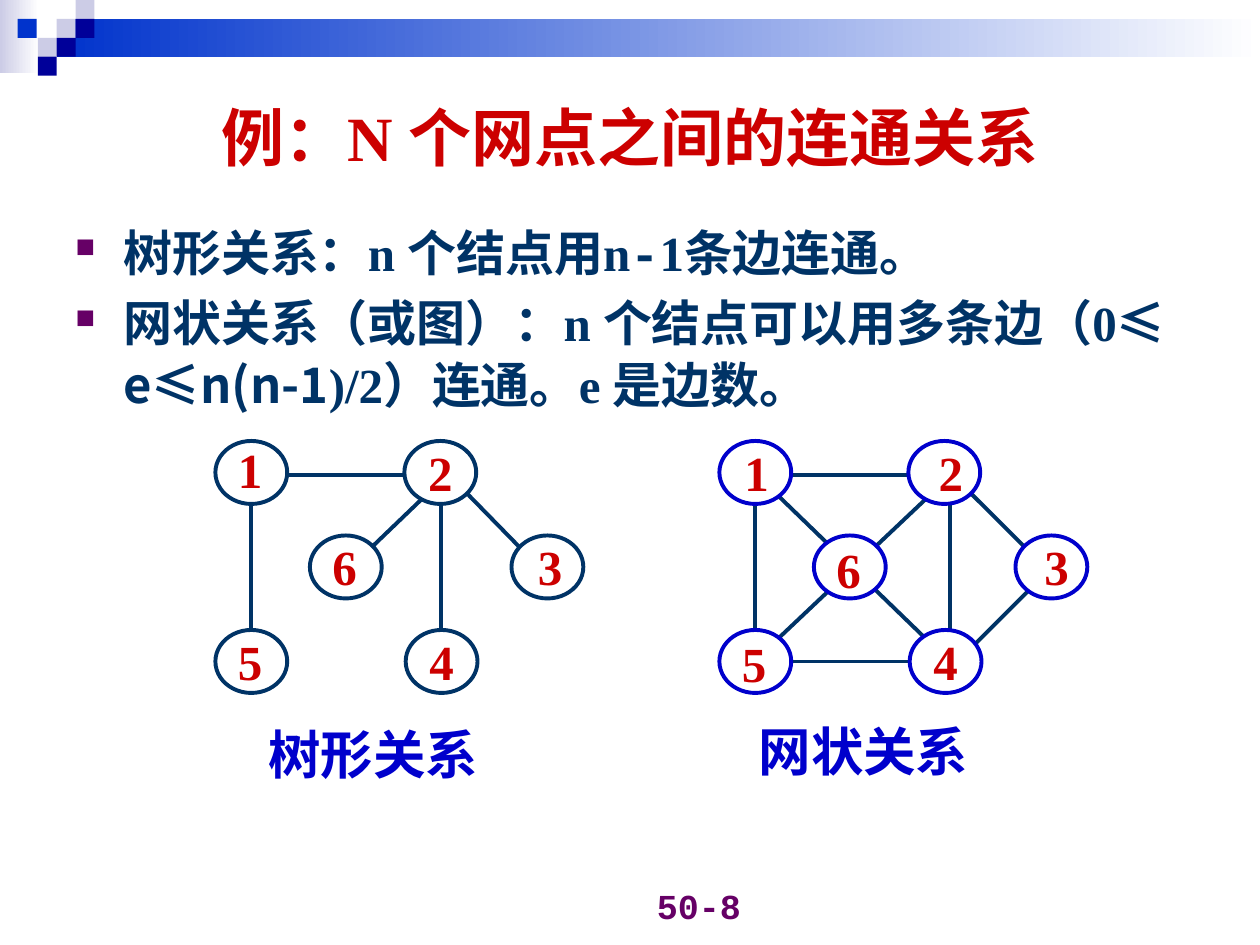
from lxml import etree
from pptx import Presentation
from pptx.dml.color import RGBColor
from pptx.enum.shapes import MSO_CONNECTOR as Connector, MSO_SHAPE as Shape
from pptx.enum.text import MSO_ANCHOR as Anchor, PP_ALIGN as Align
from pptx.oxml.ns import qn
from pptx.util import Inches, Pt

COLORS = {
    "white": "FFFFFF", "lavender": "CCCCE6", "blue": "0033CC", "navy": "000099",
    "purple": "660066", "red": "CC0000", "ink": "003366", "mesh": "0000CC",
}
SERIF, MONO, SANS = "Times New Roman", "Courier New", "Noto Sans CJK SC"

TILE = 0.15
TILES = [
    (0.45, 0.15, "lavender"), (0.6, 0, "lavender"), (0.6, 0.15, "navy"),
    (0.3, 0.3, "lavender"), (0.14, 0.15, "blue"), (0.45, 0.3, "navy"),
    (0.3, 0.45, "navy"),
]
BULLETS = [
    [("树形关系：n 个结点用n", SERIF), ("-", MONO), ("1条边连通。", SERIF)],
    [("网状关系（或图）：n 个结点可以用多条边（0", SERIF),
     ("≤ e≤n(n-1", SANS), (")/2）连通。e 是边数。", SERIF)],
]

# Graph positions are offsets from the top left of node 1.
GRAPH_TOP = 3.5
NODES = [(0, 0), (1.5, 0), (2.35, 0.75), (1.51, 1.5), (0, 1.5), (0.75, 0.75)]
SHARED_EDGES = [(0.5, 0.27, 1.57, 0.27), (0.28, 0.49, 0.28, 1.5)]
GRAPHS = [
    {
        "left": 1.71, "outline": "ink", "caption": ("树形关系", 2.01, 5.67),
        "edges": [(1.67, 0.43, 1.16, 0.92), (2, 0.42, 2.45, 0.88),
                  (1.79, 0.49, 1.79, 1.5)],
        "labels": [(0.08, -0.06), (1.59, -0.04), (2.46, 0.71),
                   (1.6, 1.46), (0.08, 1.46), (0.83, 0.71)],
    },
    {
        "left": 5.71, "outline": "mesh", "caption": ("网状关系", 5.9, 5.65),
        "edges": [(1.96, 0.38, 2.42, 0.84), (0.42, 0.39, 1.68, 1.61),
                  (1.67, 0.43, 0.39, 1.64), (0.5, 1.75, 1.57, 1.75),
                  (1.83, 0.49, 1.83, 1.5), (2.47, 1.17, 2, 1.64)],
        "labels": [(0.1, -0.04), (1.64, -0.04), (2.48, 0.71),
                   (1.6, 1.46), (0.08, 1.48), (0.83, 0.73)],
    },
]


def rgb(color):
    return RGBColor.from_string(COLORS[color])


class SlideBuilder:
    """Holds the slide and the style shared by its elements."""

    line_width = Pt(2.25)

    def __init__(self, slide):
        self.slide = slide

    def shape(self, kind, left, top, width, height, fill):
        shape = self.slide.shapes.add_shape(
            kind, Inches(left), Inches(top), Inches(width), Inches(height))
        shape.shadow.inherit = False
        shape.fill.solid()
        shape.fill.fore_color.rgb = rgb(fill)
        shape.line.fill.background()
        return shape

    def gradient(self, left, top, width, height, start):
        """Add a bar that fades from left to right into white."""
        bar = self.shape(Shape.RECTANGLE, left, top, width, height, start)
        bar.fill.gradient()
        bar.fill.gradient_angle = 0
        for stop, position, color in zip(bar.fill.gradient_stops, (0, 1), (start, "white")):
            stop.position = position
            stop.color.rgb = rgb(color)

    def node(self, left, top, outline):
        node = self.shape(Shape.OVAL, left, top, 0.57, 0.5, "white")
        node.line.color.rgb = rgb(outline)
        node.line.width = self.line_width

    def edge(self, *ends):
        edge = self.slide.shapes.add_connector(
            Connector.STRAIGHT, *(Inches(end) for end in ends))
        edge.line.color.rgb = rgb("ink")
        edge.line.width = self.line_width
        etree.SubElement(edge._element.spPr, qn("a:effectLst"))

    def frame(self, left, top, width, height, wrap=True, anchor=Anchor.TOP):
        box = self.slide.shapes.add_textbox(
            Inches(left), Inches(top), Inches(width), Inches(height))
        box.text_frame.word_wrap = wrap
        box.text_frame.vertical_anchor = anchor
        return box.text_frame

    def style(self, paragraph, size, color, name=None):
        font = paragraph.font
        font.size, font.bold = Pt(size), True
        font.color.rgb = rgb(color)
        if name:
            font.name = name

    def text(self, text, position, size, color, name=SERIF, align=Align.LEFT,
             inset=(0.1, 0.05), **options):
        frame = self.frame(*position, **options)
        frame.margin_left = frame.margin_right = Inches(inset[0])
        frame.margin_top = frame.margin_bottom = Inches(inset[1])
        paragraph = frame.paragraphs[0]
        paragraph.text = text
        paragraph.alignment = align
        self.style(paragraph, size, color, name)

    def bullets(self, items, *position):
        frame = self.frame(*position)
        for index, runs in enumerate(items):
            paragraph = frame.add_paragraph() if index else frame.paragraphs[0]
            paragraph.line_spacing = 1.05
            paragraph.space_before = Pt(5.2 if index else 0)
            properties = paragraph._p.get_or_add_pPr()
            properties.set("marL", str(Inches(0.38)))
            properties.set("indent", str(-Inches(0.38)))
            bullet_color = etree.SubElement(properties, qn("a:buClr"))
            etree.SubElement(bullet_color, qn("a:srgbClr"), val=COLORS["purple"])
            etree.SubElement(properties, qn("a:buSzPct"), val="55000")
            etree.SubElement(properties, qn("a:buChar"), char="■")
            self.style(paragraph, 28, "ink")
            for text, name in runs:
                run = paragraph.add_run()
                run.text = text
                run.font.name = name

    def graph(self, left, outline, caption, edges, labels):
        for x1, y1, x2, y2 in SHARED_EDGES + edges:
            self.edge(left + x1, GRAPH_TOP + y1, left + x2, GRAPH_TOP + y2)
        for number, (node, label) in enumerate(zip(NODES, labels), 1):
            self.node(left + node[0], GRAPH_TOP + node[1], outline)
            position = (left + label[0], GRAPH_TOP + label[1], 0.39, 0.57)
            self.text(str(number), position, 28, "red", wrap=False)
        title, caption_left, caption_top = caption
        self.text(title, (caption_left, caption_top, 1.91, 0.62), 30, "mesh",
                  inset=(0.12, 0.06), wrap=False)


def main():
    presentation = Presentation()
    presentation.slide_width, presentation.slide_height = Inches(10), Inches(7.5)
    builder = SlideBuilder(presentation.slides.add_slide(presentation.slide_layouts[6]))

    builder.gradient(0, 0, 0.31, 0.58, "lavender")
    builder.gradient(0.45, 0.15, 9.55, 0.3, "blue")
    for left, top, color in TILES:
        builder.shape(Shape.RECTANGLE, left, top, TILE, TILE, color)

    builder.text("50-8", (3.65, 6.9, 2.33, 0.5), 20, "purple", MONO,
                 Align.RIGHT, anchor=Anchor.BOTTOM)
    builder.text("例：N 个网点之间的连通关系", (0.5, 0.5, 9, 1.16), 36, "red",
                 align=Align.CENTER, anchor=Anchor.MIDDLE)
    builder.bullets(BULLETS, 0.5, 1.69, 9, 2.45)
    for graph in GRAPHS:
        builder.graph(**graph)

    presentation.save("out.pptx")


if __name__ == "__main__":
    main()
